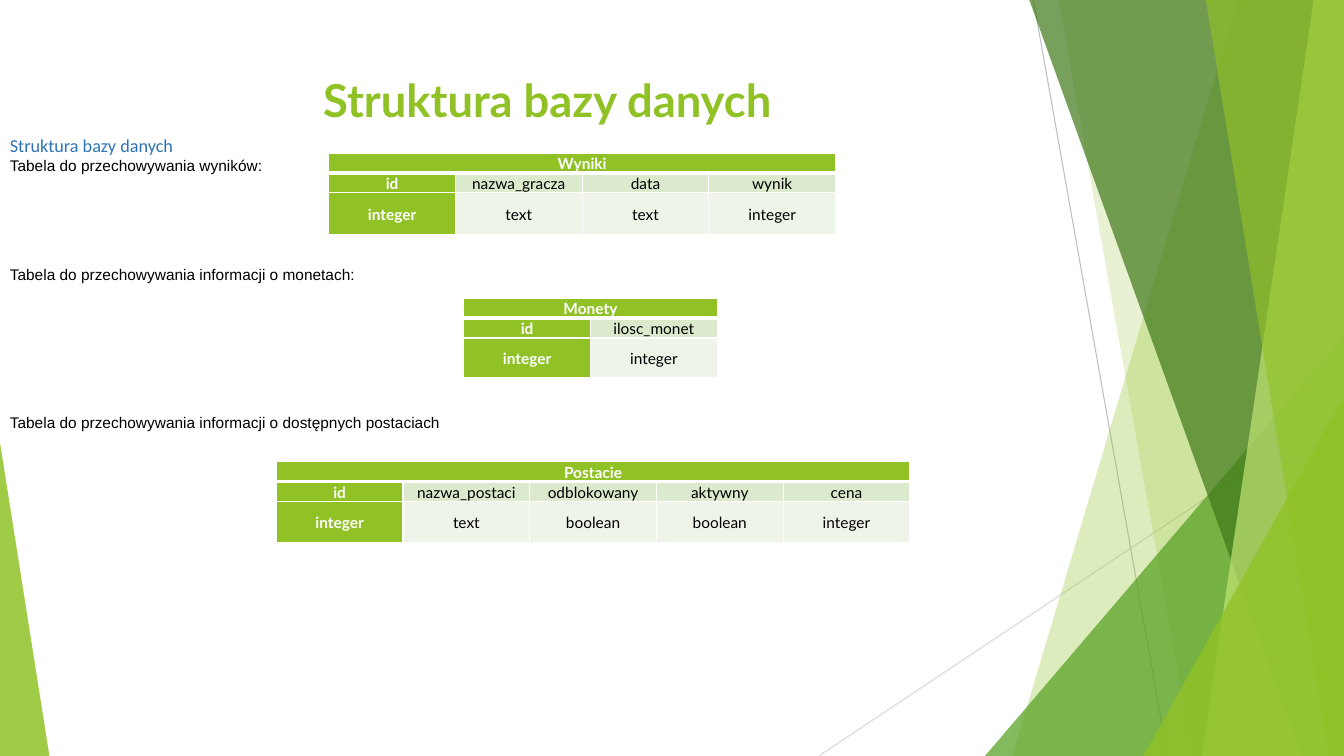
from dataclasses import dataclass

from lxml import etree
from pptx import Presentation
from pptx.dml.color import RGBColor
from pptx.enum.shapes import MSO_CONNECTOR, MSO_SHAPE
from pptx.enum.text import MSO_ANCHOR, PP_ALIGN
from pptx.oxml.ns import qn
from pptx.util import Inches, Pt

LEFT, CENTER = PP_ALIGN.LEFT, PP_ALIGN.CENTER
TOP, MIDDLE = MSO_ANCHOR.TOP, MSO_ANCHOR.MIDDLE
TRIANGLE = MSO_SHAPE.ISOSCELES_TRIANGLE
STRAIGHT = MSO_CONNECTOR.STRAIGHT


@dataclass(frozen=True)
class Theme:
    lime: str = "90C226"
    green: str = "54A021"
    forest: str = "3F7819"
    pale: str = "C0E474"
    name_row: str = "DBE9CD"
    type_row: str = "EEF4E8"
    blue: str = "2E74B5"
    black: str = "000000"
    white: str = "FFFFFF"
    gray: str = "BFBFBF"
    light_gray: str = "D9D9D9"
    title_size: float = 32.4
    heading_size: float = 13
    body_size: float = 11
    title_font: str = "Lato"
    heading_font: str = "Calibri"
    body_font: str = "Arial"


def rgb(color):
    return RGBColor.from_string(color)


def write(p, text, *, size, font, color, bold=False, align=LEFT, spacing=None):
    p.alignment = align
    p.line_spacing = spacing
    r = p.add_run()
    r.text = text
    r.font.size = Pt(size)
    r.font.name = font
    r.font.bold = bold
    r.font.color.rgb = rgb(color)


class Deck:
    def __init__(self, theme):
        self.theme = theme
        self.prs = Presentation()
        self.prs.slide_width = Inches(13.33)
        self.prs.slide_height = Inches(7.5)
        self.slide = self.prs.slides.add_slide(self.prs.slide_layouts[6])
        self.shapes = self.slide.shapes

    def x(self, percent):
        return round(self.prs.slide_width * percent / 100)

    def y(self, percent):
        return round(self.prs.slide_height * percent / 100)

    def box(self, x, y, w, h):
        return self.x(x), self.y(y), self.x(w), self.y(h)

    def paint(self, sp, color, opacity):
        sp.shadow.inherit = False
        sp.line.fill.background()
        sp.fill.solid()
        sp.fill.fore_color.rgb = rgb(color)
        clr = sp._element.spPr.find(".//" + qn("a:srgbClr"))
        etree.SubElement(clr, qn("a:alpha"), val=str(opacity * 1000))

    def line(self, x1, y1, x2, y2, color):
        cx = self.shapes.add_connector(
            STRAIGHT, self.x(x1), self.y(y1), self.x(x2), self.y(y2))
        cx.line.color.rgb = rgb(color)
        cx.line.width = Pt(0.75)
        etree.SubElement(cx._element.spPr, qn("a:effectLst"))

    def band(self, top_x, bottom_x, color, opacity):
        corners = [(100, 0), (100, 100), (bottom_x, 100)]
        fb = self.shapes.build_freeform(self.x(top_x), 0)
        fb.add_line_segments([(self.x(x), self.y(y)) for x, y in corners])
        self.paint(fb.convert_to_shape(), color, opacity)

    def triangle(self, x, y, w, apex, color, opacity):
        sp = self.shapes.add_shape(TRIANGLE, *self.box(x, y, w, 100 - y))
        sp.adjustments[0] = apex
        self.paint(sp, color, opacity)

    def text(self, x, y, w, h, *lines):
        tf = self.shapes.add_textbox(*self.box(x, y, w, h)).text_frame
        tf.word_wrap = True
        tf.vertical_anchor = TOP
        for i, (text, fmt) in enumerate(lines):
            p = tf.add_paragraph() if i else tf.paragraphs[0]
            write(p, text, **fmt)

    def borders(self, cell, row):
        top = 3 if row == 1 else 1
        bottom = 3 if row == 0 else 1
        tc_pr = cell._tc.get_or_add_tcPr()
        for tag, width in (("lnL", 1), ("lnR", 1), ("lnT", top), ("lnB", bottom)):
            ln = etree.SubElement(tc_pr, qn("a:" + tag), w=str(Pt(width)))
            fill = etree.SubElement(ln, qn("a:solidFill"))
            etree.SubElement(fill, qn("a:srgbClr"), val=self.theme.white)

    def table(self, x, y, name, fields, col_w=9.43, row_h=2.53, type_h=5.47):
        t = self.theme
        n = len(fields)
        heights = (row_h, row_h, type_h)
        tbl = self.shapes.add_table(
            3, n, *self.box(x, y, col_w * n, sum(heights))).table
        tbl.first_row = tbl.horz_banding = False
        for col in tbl.columns:
            col.width = self.x(col_w)
        for row, h in zip(tbl.rows, heights):
            row.height = self.y(h)
        rows = ([name] + [""] * (n - 1), *zip(*fields))
        fills = (t.lime, t.name_row, t.type_row)
        for i, values in enumerate(rows):
            for j, value in enumerate(values):
                cell = tbl.cell(i, j)
                strong = i == 0 or j == 0
                cell.margin_left = cell.margin_right = Inches(0.07)
                cell.margin_top = cell.margin_bottom = 0
                cell.vertical_anchor = MIDDLE if i == 2 else TOP
                self.borders(cell, i)
                cell.fill.solid()
                cell.fill.fore_color.rgb = rgb(t.lime if strong else fills[i])
                if value:
                    write(cell.text_frame.paragraphs[0], value,
                          size=t.body_size, font=t.title_font,
                          color=t.white if strong else t.black,
                          bold=strong, align=CENTER, spacing=1.07)
        tbl.cell(0, 0).merge(tbl.cell(0, n - 1))


def main():
    t = Theme()
    deck = Deck(t)
    title = dict(size=t.title_size, font=t.title_font, color=t.lime,
                 bold=True, align=CENTER)
    heading = dict(size=t.heading_size, font=t.heading_font, color=t.blue)
    body = dict(size=t.body_size, font=t.body_font, color=t.black)

    deck.line(76.89, 0, 86.87, 100, t.gray)
    deck.line(100, 53.73, 60.92, 100, t.light_gray)
    deck.band(92.12, 75.32, t.lime, 30)
    deck.band(78.77, 88.75, t.lime, 20)
    deck.triangle(73.29, 44.4, 26.71, 1, t.green, 72)
    deck.band(76.59, 96.85, t.forest, 70)
    deck.band(97.75, 89.42, t.pale, 70)
    deck.band(89.72, 98.87, t.lime, 65)
    deck.triangle(85.07, 52.4, 14.93, 1, t.lime, 80)
    deck.triangle(0, 58.53, 3.68, 0, t.lime, 85)

    deck.text(5.4, 8.93, 70.67, 8.27, ("Struktura bazy danych", title))
    deck.text(0, 17.07, 100, 6.67, ("Struktura bazy danych", heading),
              ("Tabela do przechowywania wyników:", body))
    deck.text(0, 34.4, 100, 6.67,
              ("Tabela do przechowywania informacji o monetach:", body))
    deck.text(0, 54, 100, 6.67,
              ("Tabela do przechowywania informacji o dostępnych postaciach", body))

    deck.table(24.46, 20.27, "Wyniki", [
        ("id", "integer"), ("nazwa_gracza", "text"),
        ("data", "text"), ("wynik", "integer")])
    deck.table(34.51, 39.47, "Monety", [
        ("id", "integer"), ("ilosc_monet", "integer")], type_h=5.2)
    deck.table(20.56, 61.07, "Postacie", [
        ("id", "integer"), ("nazwa_postaci", "text"), ("odblokowany", "boolean"),
        ("aktywny", "boolean"), ("cena", "integer")])

    deck.prs.save("out.pptx")


if __name__ == "__main__":
    main()
